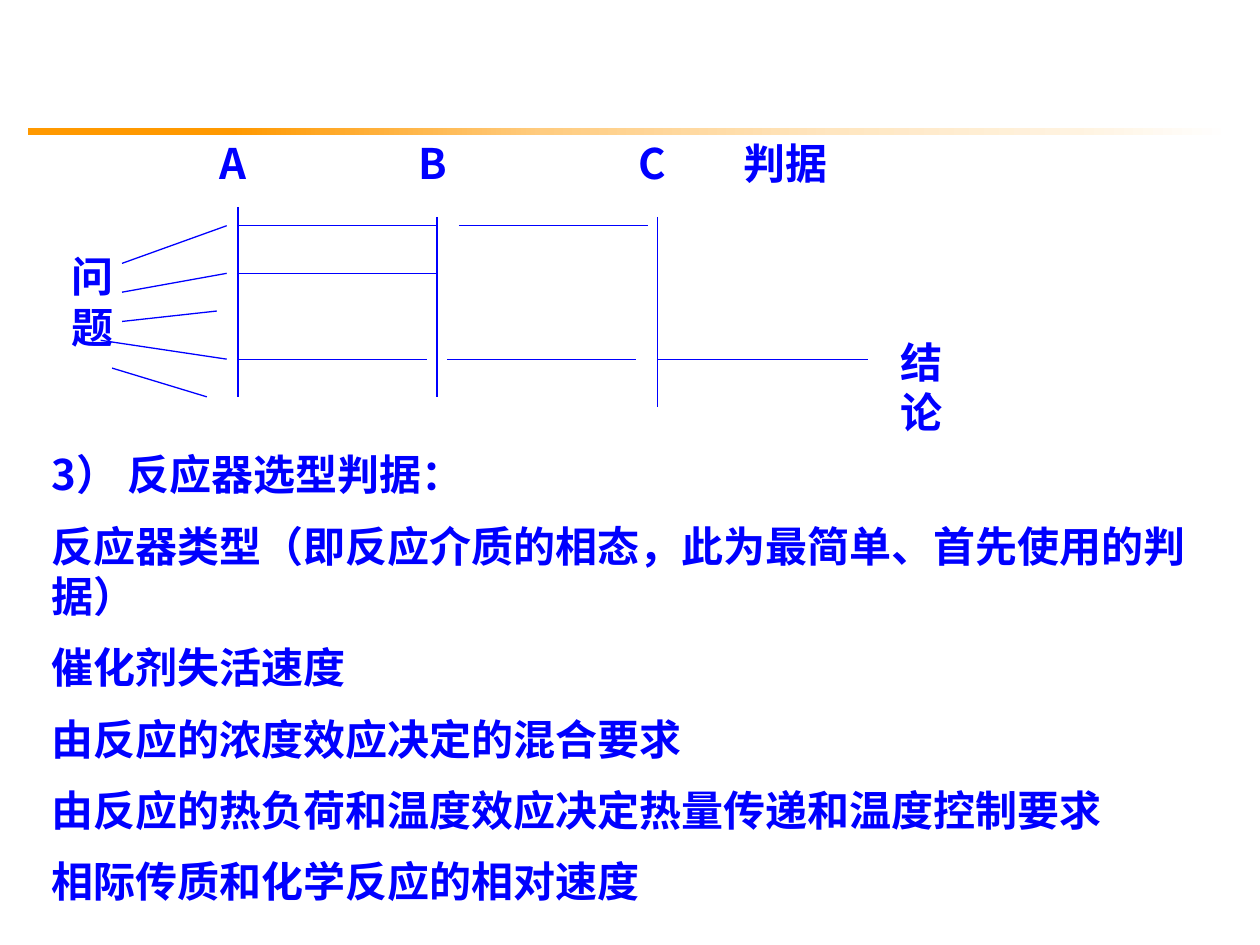
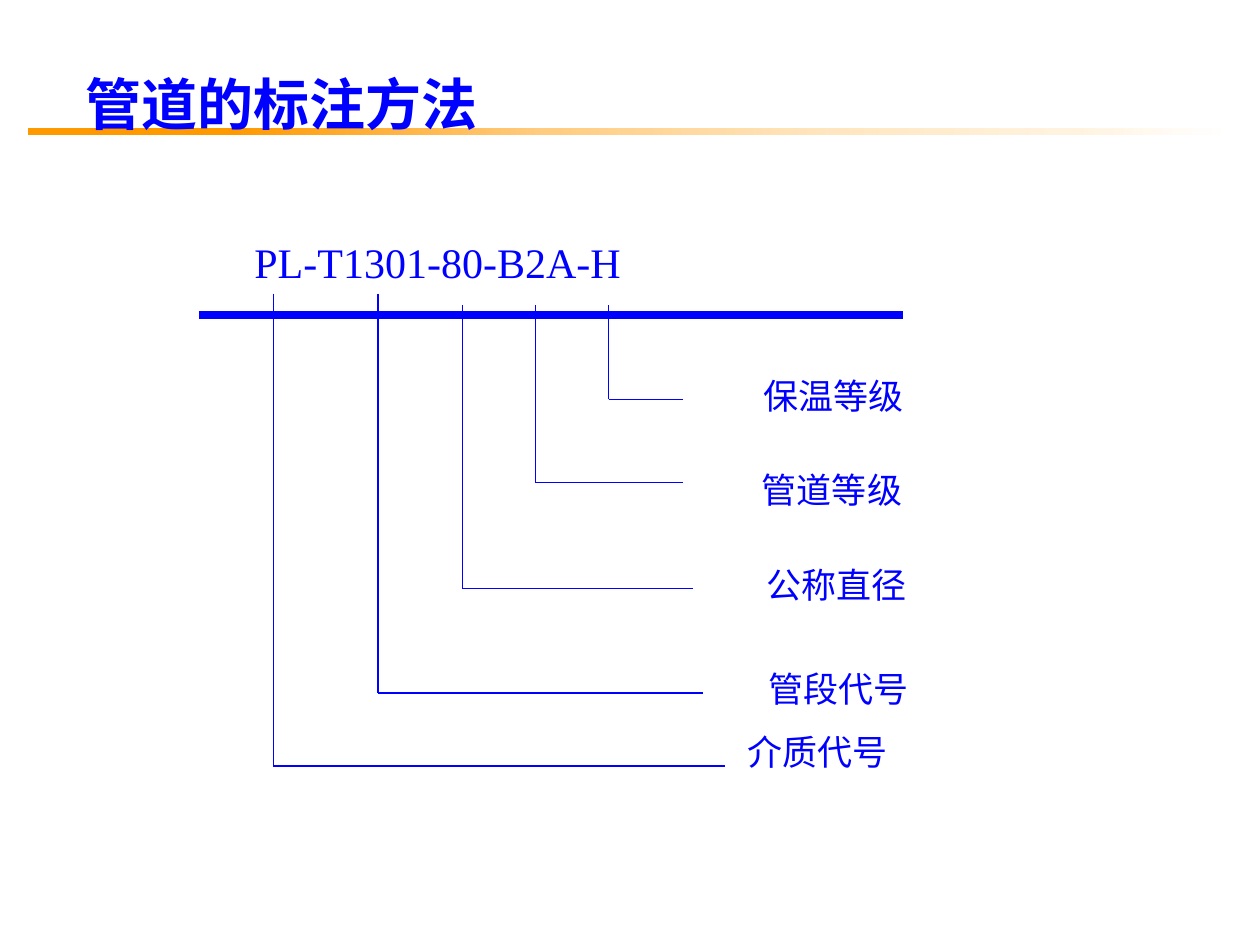
from dataclasses import dataclass

from lxml import etree
from pptx import Presentation
from pptx.dml.color import RGBColor
from pptx.enum import shapes, text
from pptx.oxml.ns import qn
from pptx.slide import Slide
from pptx.util import Cm, Pt


@dataclass(frozen=True)
class Theme:
    ink: RGBColor = RGBColor.from_string("0000FF")
    band: tuple = ((17, "FF9900"), (43, "FFCC80"), (67, "FFE6C0"),
                   (87, "FFF3E0"), (100, "FFFFFF"))
    sans: str = "Noto Sans CJK SC"
    serif: str = "Times New Roman"
    title: int = 32
    body: int = 24
    label: int = 20
    thin: float = 0.75
    thick: float = 4.5


THEME = Theme()


@dataclass(frozen=True)
class Label:
    """Text box in centimetres; indent is added to the left inset."""
    words: str
    left: float
    top: float
    width: float
    height: float
    indent: float = 0


@dataclass(frozen=True)
class Line:
    x1: float
    y1: float
    x2: float
    y2: float


@dataclass(frozen=True)
class Leader:
    """Drops from a part of the pipe code, then runs right to its label."""
    x: float
    top: float
    bottom: float
    end: float
    label: Label


def add_text(s: Slide, label: Label, size: int, font: str, bold: bool = False) -> None:
    box = s.shapes.add_textbox(Cm(label.left), Cm(label.top), Cm(label.width), Cm(label.height))
    tf = box.text_frame
    tf.word_wrap = True
    tf.vertical_anchor = text.MSO_ANCHOR.TOP
    tf.margin_left = Cm(0.25 + label.indent)
    tf.text = label.words
    for i, p in enumerate(tf.paragraphs):
        if i:
            p.space_before = Pt(size / 2)
        p.font.size = Pt(size)
        p.font.name = font
        p.font.bold = bold
        p.font.color.rgb = THEME.ink


def add_line(s: Slide, line: Line, weight: float = THEME.thin) -> None:
    c = s.shapes.add_connector(shapes.MSO_CONNECTOR.STRAIGHT, Cm(line.x1), Cm(line.y1),
                               Cm(line.x2), Cm(line.y2))
    c.line.color.rgb = THEME.ink
    c.line.width = Pt(weight)
    etree.SubElement(c._element.spPr, qn("a:effectLst"))


def add_band(s: Slide) -> None:
    band = s.shapes.add_shape(shapes.MSO_SHAPE.RECTANGLE, Cm(0.56), Cm(2.59), Cm(24.26), Cm(0.13))
    band.shadow.inherit = False
    band.line.fill.background()
    band.fill.gradient()
    band.fill.gradient_angle = 0
    stops = band._element.spPr.find(qn("a:gradFill")).find(qn("a:gsLst"))
    for old in list(stops):
        stops.remove(old)
    for percent, color in THEME.band:
        stop = etree.SubElement(stops, qn("a:gs"), pos=str(percent * 1000))
        etree.SubElement(stop, qn("a:srgbClr"), val=color)


def new_slide(prs) -> Slide:
    s = prs.slides.add_slide(prs.slide_layouts[6])
    add_band(s)
    return s


CRITERIA = Label("\n".join((
    "3） 反应器选型判据：",
    "反应器类型（即反应介质的相态，此为最简单、首先使用的判据）",
    "催化剂失活速度",
    "由反应的浓度效应决定的混合要求",
    "由反应的热负荷和温度效应决定热量传递和温度控制要求",
    "相际传质和化学反应的相对速度",
)), 0.79, 8.92, 24.31, 11.4)

DECISION_LABELS = (
    Label("A", 4.17, 2.64, 1.27, 1.14),
    Label("B", 8.18, 2.64, 1.07, 1.14),
    Label("C", 12.62, 2.64, 1.07, 1.14),
    Label("判据", 14.73, 2.64, 2.54, 1.14),
    Label("问题", 1.19, 4.93, 1.47, 2.06),
    Label("结论", 17.91, 6.65, 1.7, 2.06),
)

GATE_A, GATE_B, GATE_C = 4.8, 8.81, 13.26
ROW_1, ROW_2, ROW_3 = 4.55, 5.51, 7.24

QUESTION_RAYS = (
    Line(2.46, 5.31, 4.57, ROW_1),
    Line(2.46, 5.89, 4.57, ROW_2),
    Line(2.46, 6.48, 4.37, 6.27),
    Line(2.03, 6.86, 4.57, ROW_3),
    Line(2.26, 7.42, 4.17, 8),
)
GATES = (
    Line(GATE_A, 4.17, GATE_A, 8),
    Line(GATE_B, 4.37, GATE_B, 8),
    Line(GATE_C, 4.37, GATE_C, 8.2),
)
ROUTES = tuple(Line(x1, y, x2, y) for x1, x2, y in (
    (GATE_A, GATE_B, ROW_1),
    (9.25, 13.06, ROW_1),
    (GATE_A, GATE_B, ROW_2),
    (GATE_A, 8.61, ROW_3),
    (9.02, 12.83, ROW_3),
    (GATE_C, 17.5, ROW_3),
))

PIPE_TITLE = Label("管道的标注方法", 1.47, 1.27, 22.23, 1.6)
PIPE_CODE = Label("PL-T1301-80-B2A-H", 4.88, 4.65, 13.13, 1.27)
PIPE_BAR = Line(4.01, 6.35, 18.21, 6.35)
LEADERS = (
    Leader(5.51, 5.92, 15.44, 14.61, Label("介质代号", 14.81, 14.61, 5.51, 1.09)),
    Leader(7.62, 5.92, 13.97, 14.17, Label("管段代号", 14.17, 13.34, 5.51, 1.09, 1.08)),
    Leader(9.32, 6.15, 11.86, 13.97, Label("公称直径", 13.97, 11.23, 5.08, 1.09, 1.23)),
    Leader(10.8, 6.15, 9.73, 13.77, Label("管道等级", 14.17, 9.32, 4.45, 1.09, 0.94)),
    Leader(12.27, 6.15, 8.05, 13.77, Label("保温等级", 14.4, 7.42, 5.72, 1.09, 0.74)),
)


def build_criteria_slide(prs) -> None:
    s = new_slide(prs)
    for label in (CRITERIA, *DECISION_LABELS):
        add_text(s, label, THEME.body, THEME.sans, bold=True)
    for line in QUESTION_RAYS + GATES + ROUTES:
        add_line(s, line)


def build_pipe_slide(prs) -> None:
    s = new_slide(prs)
    add_text(s, PIPE_TITLE, THEME.title, THEME.serif, bold=True)
    add_line(s, PIPE_BAR, THEME.thick)
    add_text(s, PIPE_CODE, THEME.body, THEME.serif)
    for leader in LEADERS:
        add_line(s, Line(leader.x, leader.top, leader.x, leader.bottom))
        add_line(s, Line(leader.x, leader.bottom, leader.end, leader.bottom))
        add_text(s, leader.label, THEME.label, THEME.serif)


def main() -> None:
    prs = Presentation()
    prs.slide_width, prs.slide_height = Cm(25.4), Cm(19.05)
    build_criteria_slide(prs)
    build_pipe_slide(prs)
    prs.save("out.pptx")


if __name__ == "__main__":
    main()
